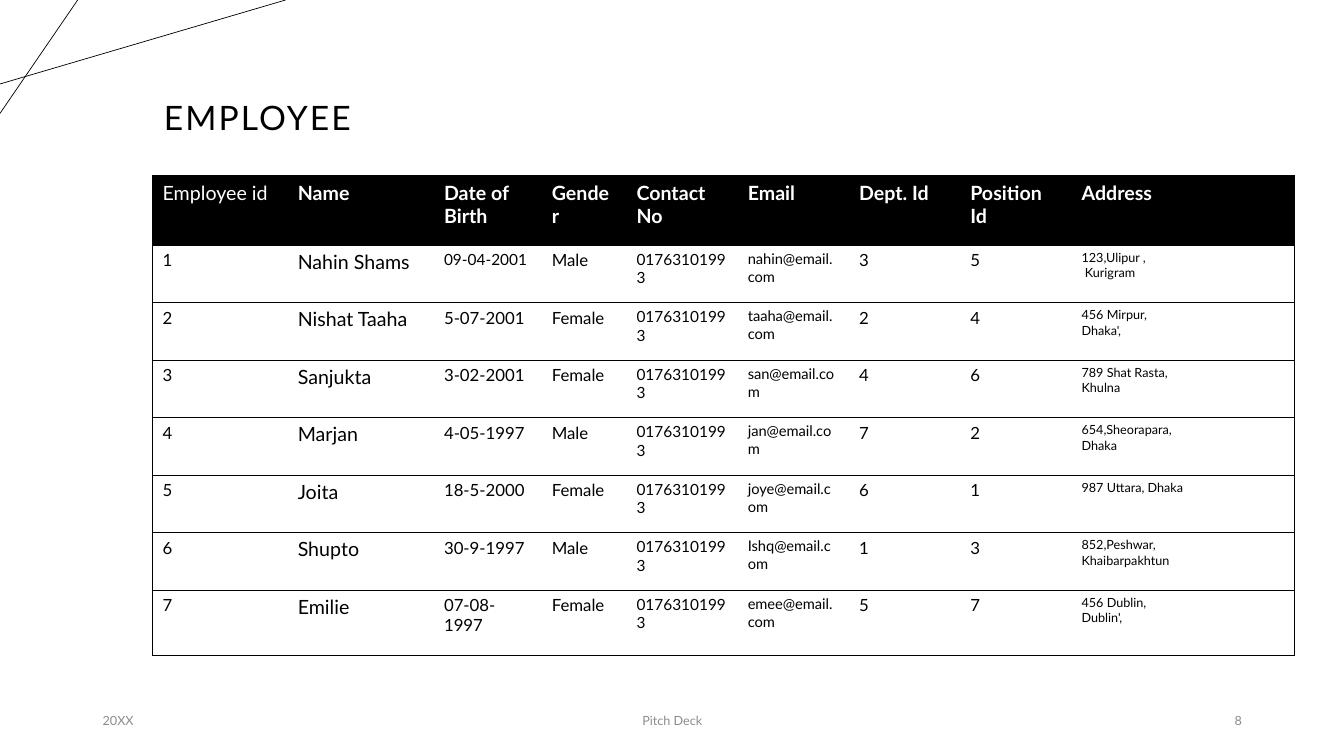
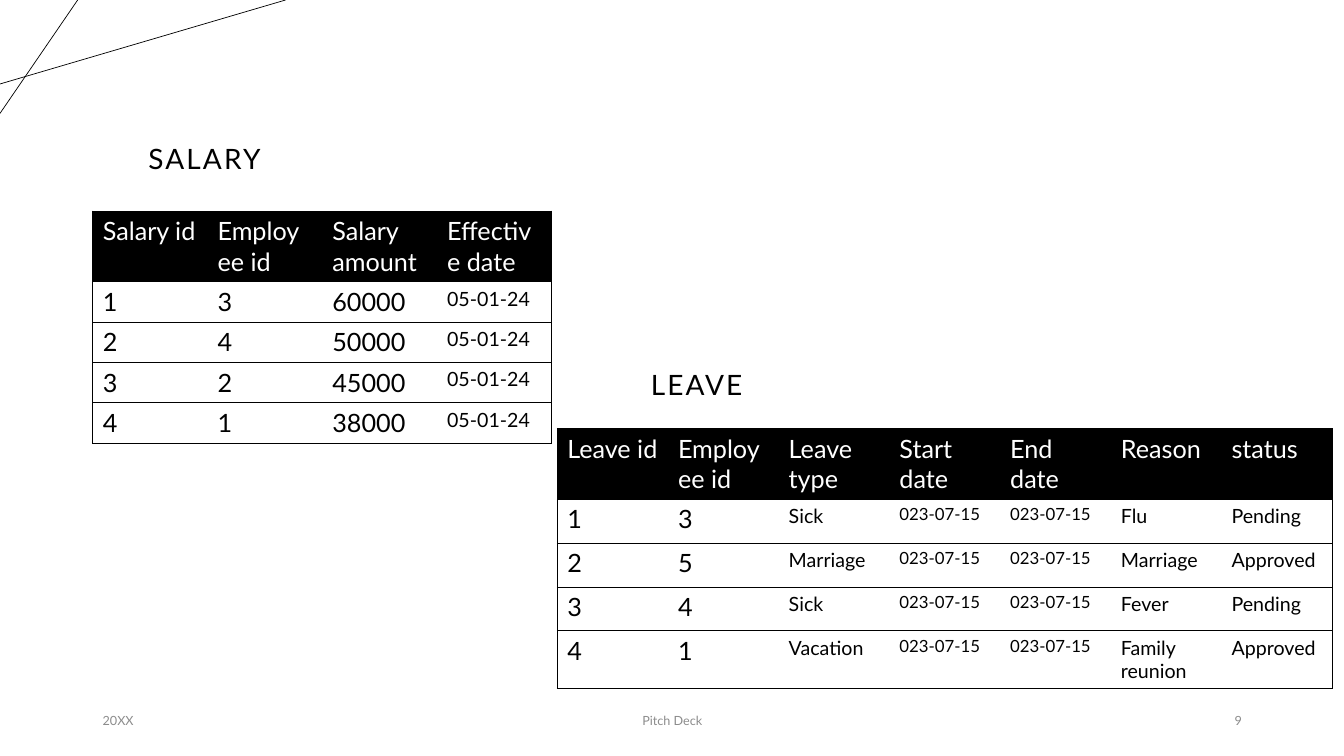
"""Build the employee, salary and leave table slides."""
import pptx
import pptx.util
import pptx.dml.color
import pptx.enum.shapes
import pptx.enum.text
import pptx.oxml
import pptx.oxml.ns

Pt = pptx.util.Pt
RGB = pptx.dml.color.RGBColor
ALIGN = pptx.enum.text.PP_ALIGN
BLACK = RGB(0, 0, 0)
WHITE = RGB(255, 255, 255)
GREY = RGB(0x8C, 0x8C, 0x8C)
FONT = "Lato"
PLAIN = "{2D5ABB26-0587-4C30-8999-92F81FD0307C}"
PHONE = "01763101993"
PAID = "05-01-24"
AWAY = "023-07-15"

RAYS = [(0, 60, 204, 0), (55.5, 0, 0, 81)]
FOOT = [(66.25, 216, ALIGN.LEFT), (318.25, 324, ALIGN.CENTER), (678.25, 216, ALIGN.RIGHT)]

STAFF = {
    "title": ("EMPLOYEE", 24, (76.25, 54, 215.25, 62.75)),
    "at": (109, 125.5),
    "cols": [96.5, 104.5, 77, 60.5, 79.5, 79.5, 79.5, 79.5, 89.5, 69.75],
    "rows": [49.5] + [41.1] * 6 + [47],
    "head": 14,
    "bold": True,
    "sizes": [12, 14, 12, 12, 11, 10.5, 12, 12, 9, 9],
    "odd": {(1, 2): 11},
    "data": [
        ("Employee id", "Name", "Date of Birth", "Gender", "Contact No", "Email",
         "Dept. Id", "Position Id", "Address", ""),
        ("1", "Nahin Shams", "09-04-2001", "Male", PHONE, "nahin@email.com", "3", "5",
         "123,Ulipur , \n Kurigram", ""),
        ("2", "Nishat Taaha", "5-07-2001", "Female", PHONE, "taaha@email.com", "2", "4",
         "456 Mirpur, Dhaka',", ""),
        ("3", "Sanjukta", "3-02-2001", "Female", PHONE, "san@email.com", "4", "6",
         "789 Shat Rasta, Khulna", ""),
        ("4", "Marjan", "4-05-1997", "Male", PHONE, "jan@email.com", "7", "2",
         "654,Sheorapara, Dhaka", ""),
        ("5", "Joita", "18-5-2000", "Female", PHONE, "joye@email.com", "6", "1",
         "987 Uttara, Dhaka", ""),
        ("6", "Shupto", "30-9-1997", "Male", PHONE, "Ishq@email.com", "1", "3",
         "852,Peshwar,\nKhaibarpakhtun", ""),
        ("7", "Emilie", "07-08-1997", "Female", PHONE, "emee@email.com", "5", "7",
         "456 Dublin, Dublin',", ""),
    ],
}
SALARY = {
    "title": ("SALARY", 20, (41.75, 81.25, 208.75, 66.25)),
    "at": (66.25, 150.75),
    "cols": [82] * 4,
    "rows": [50.4] + [28.8] * 4,
    "head": 18,
    "bold": False,
    "sizes": [18, 18, 18, 14],
    "odd": {},
    "data": [
        ("Salary id", "Employee id", "Salary amount", "Effective date"),
        ("1", "3", "60000", PAID),
        ("2", "4", "50000", PAID),
        ("3", "2", "45000", PAID),
        ("4", "1", "38000", PAID),
    ],
}
LEAVE = {
    "title": ("LEAVE", 20, (393.25, 242.75, 208.75, 66.25)),
    "at": (398, 306),
    "cols": [79.1] * 7,
    "rows": [50.4] + [31.4] * 3 + [40.8],
    "head": 18,
    "bold": False,
    "sizes": [18, 18, 14, 12, 12, 14, 14],
    "odd": {},
    "data": [
        ("Leave id", "Employee id", "Leave type", "Start date", "End date", "Reason", "status"),
        ("1", "3", "Sick", AWAY, AWAY, "Flu", "Pending"),
        ("2", "5", "Marriage", AWAY, AWAY, "Marriage", "Approved"),
        ("3", "4", "Sick", AWAY, AWAY, "Fever", "Pending"),
        ("4", "1", "Vacation", AWAY, AWAY, "Family reunion", "Approved"),
    ],
}
DECK = [(8, [STAFF]), (9, [SALARY, LEAVE])]


def style(para, size, color, bold=False):
    font = para.font
    font.name, font.size, font.bold = FONT, Pt(size), bold
    font.color.rgb = color


def label(slide, text, box, size, color, align):
    frame = slide.shapes.add_textbox(*map(Pt, box)).text_frame
    frame.word_wrap = True
    frame.vertical_anchor = pptx.enum.text.MSO_ANCHOR.MIDDLE
    para = frame.paragraphs[0]
    para.text, para.alignment = text, align
    style(para, size, color)
    return para


def title(slide, text, size, box):
    para = label(slide, text, box, size, BLACK, ALIGN.CENTER)
    para.line_spacing = 0.9
    para.runs[0].font._element.set("spc", "150")


def border(cell, sides):
    props = cell._tc.get_or_add_tcPr()
    for spot, side in enumerate(sides):
        props.insert(spot, pptx.oxml.parse_xml(
            f'<a:ln{side} {pptx.oxml.ns.nsdecls("a")} w="{Pt(0.5)}"><a:solidFill>'
            f'<a:srgbClr val="{BLACK}"/></a:solidFill></a:ln{side}>'))


def grid(slide, part):
    data, cols, rows = part["data"], part["cols"], part["rows"]
    box = (*part["at"], sum(cols), sum(rows))
    table = slide.shapes.add_table(len(rows), len(cols), *map(Pt, box)).table
    table._tbl.tblPr[0].text = PLAIN
    for col, width in zip(table.columns, cols):
        col.width = Pt(width)
    for row, height in zip(table.rows, rows):
        row.height = Pt(height)
    for r, line in enumerate(data):
        for c, text in enumerate(line):
            cell = table.cell(r, c)
            cell.text = text
            if r == 0:
                cell.fill.solid()
                cell.fill.fore_color.rgb = BLACK
                look = (part["head"], WHITE, part["bold"] and c > 0)
            else:
                cell.fill.background()
                look = (part["odd"].get((r, c), part["sizes"][c]), BLACK)
            for para in cell.text_frame.paragraphs:
                style(para, *look)
            border(cell, "L" * (c == 0) + "R" * (c == len(cols) - 1) + "TB")


def base(slide, page):
    for ray in RAYS:
        line = slide.shapes.add_connector(
            pptx.enum.shapes.MSO_CONNECTOR.STRAIGHT, *map(Pt, ray))
        line.line.color.rgb = BLACK
        line.line.width = Pt(0.5)
        line._element.spPr.append(pptx.oxml.parse_xml(
            f'<a:effectLst {pptx.oxml.ns.nsdecls("a")}/>'))
    for text, (left, width, align) in zip(("20XX", "Pitch Deck", str(page)), FOOT):
        label(slide, text, (left, 500.5, width, 28.75), 9, GREY, align)


def main():
    deck = pptx.Presentation()
    deck.slide_width, deck.slide_height = Pt(960), Pt(540)
    for page, parts in DECK:
        slide = deck.slides.add_slide(deck.slide_layouts[6])
        base(slide, page)
        for part in parts:
            title(slide, *part["title"])
            grid(slide, part)
    deck.save("out.pptx")


if __name__ == "__main__":
    main()
